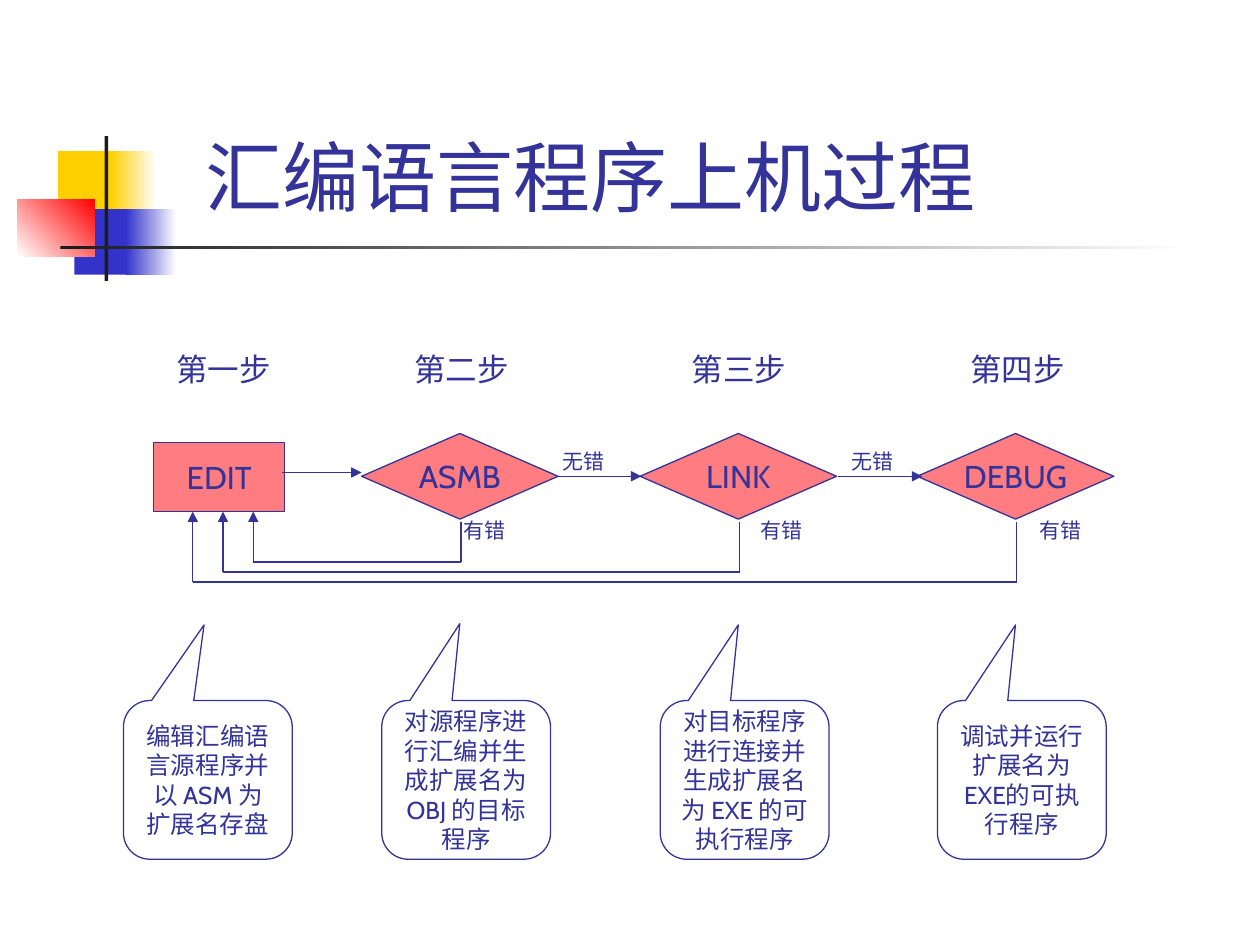
from lxml.etree import SubElement
from pptx import Presentation
from pptx.dml.color import RGBColor
from pptx.enum.shapes import MSO_CONNECTOR, MSO_SHAPE
from pptx.enum.text import MSO_ANCHOR, PP_ALIGN
from pptx.oxml.ns import qn
from pptx.util import Inches, Pt

THEME = {
    "font": "Cabin", "ink": "333399", "node": "FF7C80", "paper": "FFFFFF",
    "yellow": "FFCF01", "blue": "3333CC", "red": "FF0000", "black": "1C1C1C",
    "title": 44, "body": 18, "note": 14, "small": 12, "line": 0.75,
}
TITLE = "汇编语言程序上机过程"
# left, top, width, height, colours (two make a gradient), gradient angle
DECORATION = [
    (0.46, 1.2, 0.48, 0.52, ["yellow"], 0),
    (0.88, 1.2, 0.36, 0.52, ["yellow", "paper"], 0),
    (0.59, 1.66, 0.46, 0.52, ["blue"], 0),
    (1.0, 1.66, 0.4, 0.52, ["blue", "paper"], 0),
    (0.14, 1.58, 0.61, 0.46, ["paper", "red"], 45),
    (0.83, 1.08, 0.03, 1.15, ["black"], 0),
    (0.48, 1.95, 9, 0.03, ["black", "paper"], 0),
]
# heading, tool, note, centre of tool, left of heading, left of note, tip of note (x, y)
STEPS = [
    ("第一步", "EDIT", "编辑汇编语言源程序并以 ASM 为扩展名存盘",
     1.74, 1.3, 0.98, (1.62, 4.96)),
    ("第二步", "ASMB", "对源程序进行汇编并生成扩展名为OBJ 的目标程序",
     3.65, 3.19, 3.03, (3.65, 4.95)),
    ("第三步", "LINK", "对目标程序进行连接并生成扩展名为 EXE 的可执行程序",
     5.86, 5.39, 5.24, (5.86, 4.96)),
    ("第四步", "DEBUG", "调试并运行扩展名为EXE的可执行程序",
     8.06, 7.6, 7.44, (8.06, 4.96)),
]
# start x, end x, y
FORWARD = [(2.24, 2.87, 3.75), (4.41, 5.09, 3.78), (6.65, 7.32, 3.78)]
# text, left, top, width
LABELS = [
    ("无错", 4.37, 3.51, 0.66), ("无错", 6.66, 3.51, 0.72),
    ("有错", 3.58, 4.06, 0.6), ("有错", 5.94, 4.06, 0.6), ("有错", 8.15, 4.06, 0.6),
]
EDIT_BOTTOM, DECISION_BOTTOM = 4.06, 4.14
NOTE_TOP, NOTE_WIDTH, NOTE_HEIGHT = 5.56, 1.34, 1.26


def colour(name):
    return RGBColor.from_string(THEME[name])


def write(shape, text, size="body", align=PP_ALIGN.LEFT, anchor=MSO_ANCHOR.TOP, wrap=True):
    frame = shape.text_frame
    frame.word_wrap = wrap
    frame.vertical_anchor = anchor
    para = frame.paragraphs[0]
    para.alignment = align
    span = para.add_run()
    span.text = text
    span.font.name = THEME["font"]
    span.font.size = Pt(THEME[size])
    span.font.color.rgb = colour("ink")


def add_text(page, text, left, top, width, height, **style):
    box = page.shapes.add_textbox(*map(Inches, (left, top, width, height)))
    write(box, text, **style)


def add_block(page, kind, left, top, width, height, colours, angle=0, outlined=False):
    """Add a preset shape filled with one colour, or with a gradient of two."""
    shape = page.shapes.add_shape(kind, *map(Inches, (left, top, width, height)))
    shape.shadow.inherit = False
    if len(colours) == 1:
        shape.fill.solid()
        shape.fill.fore_color.rgb = colour(colours[0])
    else:
        shape.fill.gradient()
        shape.fill.gradient_angle = angle
        for stop, name in zip(shape.fill.gradient_stops, colours):
            stop.color.rgb = colour(name)
    if outlined:
        shape.line.color.rgb = colour("ink")
        shape.line.width = Pt(THEME["line"])
    else:
        shape.line.fill.background()
    return shape


def add_path(page, points):
    """Join the points with straight lines; the last one ends in an arrowhead."""
    for start, end in zip(points, points[1:]):
        line = page.shapes.add_connector(
            MSO_CONNECTOR.STRAIGHT, *map(Inches, (*start, *end)))
        line.line.color.rgb = colour("ink")
        line.line.width = Pt(THEME["line"])
        properties = line._element.spPr
        SubElement(properties, qn("a:effectLst"))
        if end == points[-1]:
            SubElement(properties.find(qn("a:ln")), qn("a:tailEnd"), type="triangle")


def add_step(page, index, heading, tool, note, centre, heading_left, note_left, tip):
    middle = {"align": PP_ALIGN.CENTER, "anchor": MSO_ANCHOR.MIDDLE}
    add_text(page, heading, heading_left, 2.73, 1.02, 0.4)

    if index == 0:
        kind, top, width, height = MSO_SHAPE.RECTANGLE, 3.51, 1.04, 0.55
    else:
        kind, top, width, height = MSO_SHAPE.FLOWCHART_DECISION, 3.44, 1.56, 0.68
    node = add_block(page, kind, centre - width / 2, top, width, height,
                     ["node"], outlined=True)
    write(node, tool, wrap=False, **middle)

    callout = add_block(page, MSO_SHAPE.ROUNDED_RECTANGULAR_CALLOUT, note_left, NOTE_TOP,
                        NOTE_WIDTH, NOTE_HEIGHT, ["paper"], outlined=True)
    callout.adjustments[0] = (tip[0] - note_left) / NOTE_WIDTH - 0.5
    callout.adjustments[1] = (tip[1] - NOTE_TOP) / NOTE_HEIGHT - 0.5
    write(callout, note, size="note", **middle)


def main():
    deck = Presentation()
    deck.slide_width, deck.slide_height = Inches(10), Inches(7.5)
    page = deck.slides.add_slide(deck.slide_layouts[6])

    for *place, colours, angle in DECORATION:
        add_block(page, MSO_SHAPE.RECTANGLE, *place, colours, angle)
    add_text(page, TITLE, 1.53, 0.21, 8.25, 1.6, size="title", anchor=MSO_ANCHOR.BOTTOM)

    for index, step in enumerate(STEPS):
        add_step(page, index, *step)
    for start, end, y in FORWARD:
        add_path(page, [(start, y), (end, y)])
    for index, step in enumerate(STEPS[1:]):
        source = step[3] + 0.01
        target = 2.01 - 0.24 * index
        lane = 4.46 + 0.08 * index
        add_path(page, [(source, DECISION_BOTTOM), (source, lane),
                        (target, lane), (target, EDIT_BOTTOM)])
    for text, left, top, width in LABELS:
        add_text(page, text, left, top, width, 0.3, size="small")

    deck.save("out.pptx")


if __name__ == "__main__":
    main()
